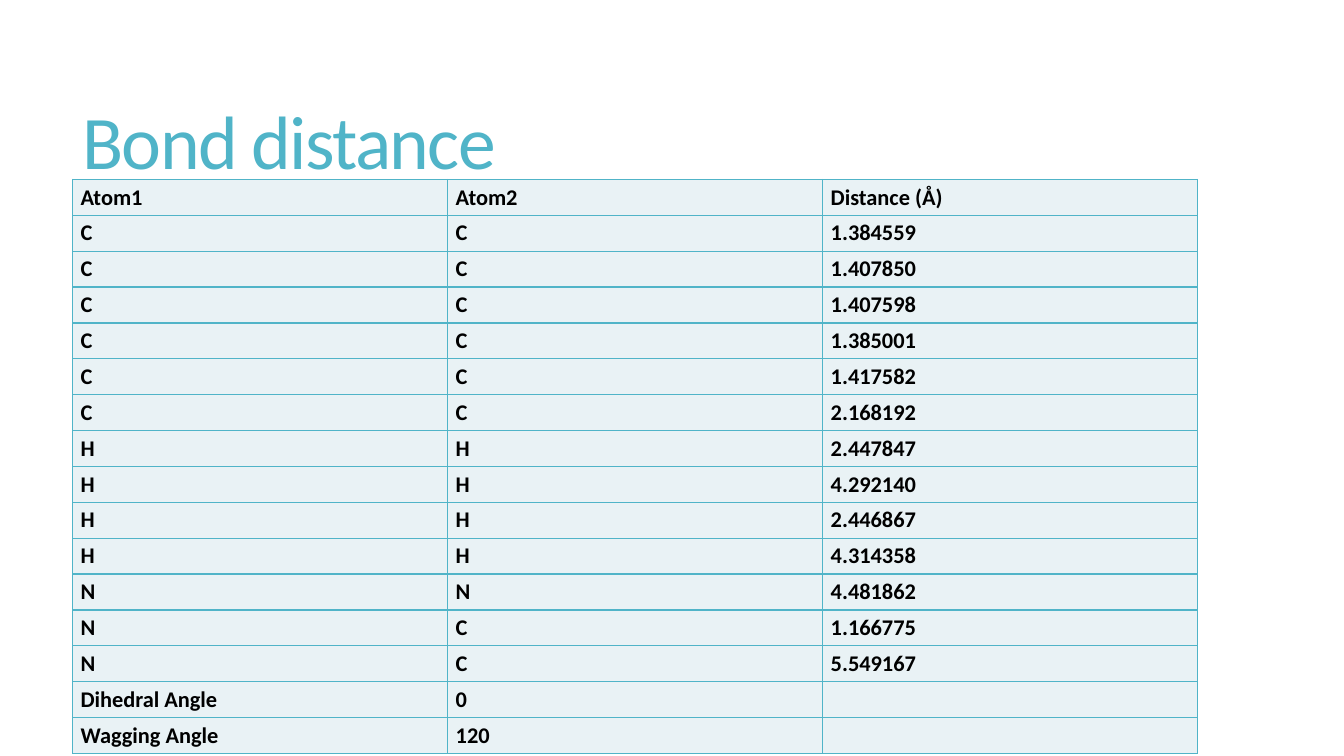
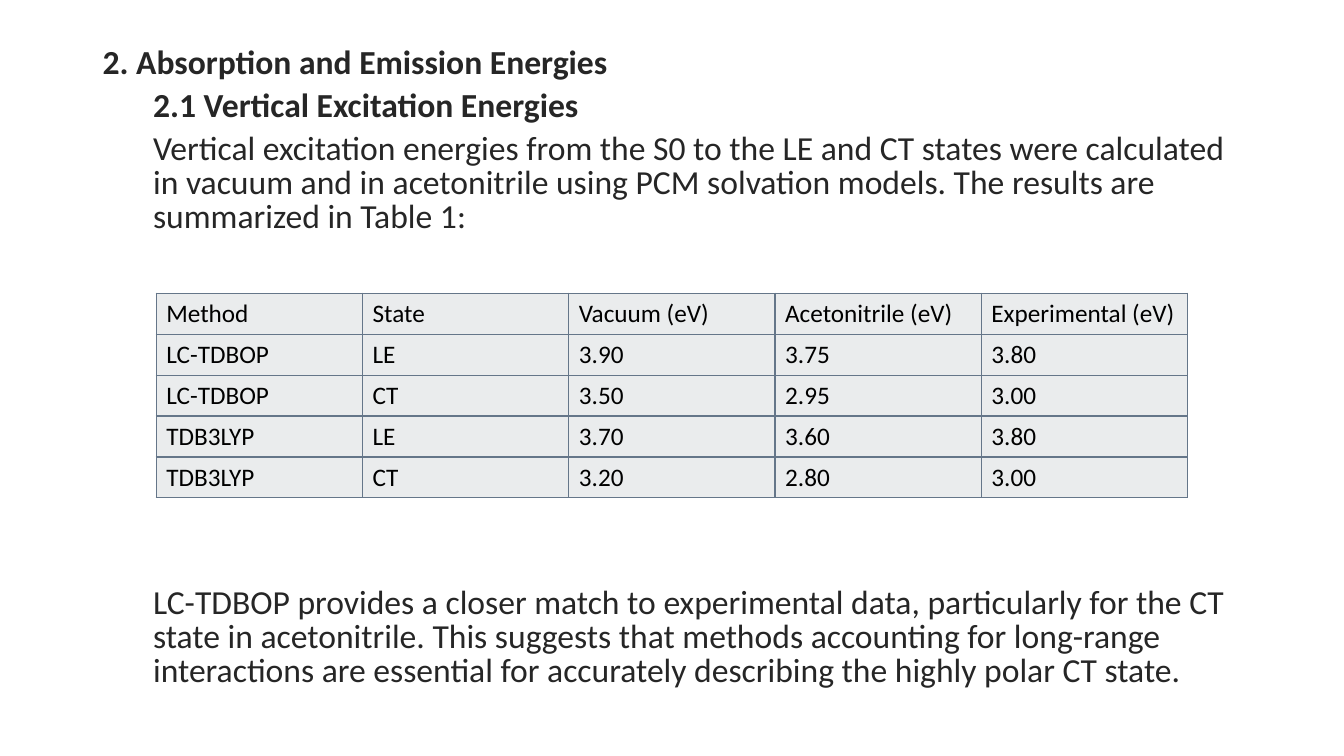
"""Build two slides on bond distances and excitation energies."""
from lxml.etree import SubElement
from pptx import Presentation
from pptx.dml.color import RGBColor
from pptx.enum.text import MSO_ANCHOR
from pptx.oxml.ns import qn
from pptx.util import Inches, Pt

FONT = "Calibri"
TEAL = RGBColor(0x50, 0xB4, 0xC8)
PALE_TEAL = RGBColor(0xE9, 0xF2, 0xF5)
SLATE = RGBColor(0x65, 0x76, 0x89)
PALE_GREY = RGBColor(0xEA, 0xEC, 0xED)
INK = RGBColor(0x26, 0x26, 0x26)
BLACK = RGBColor(0, 0, 0)


def add_text(slide, left, top, width, height, lines, size, color, anchor=MSO_ANCHOR.TOP):
    """Add a text box from (text, bold, indent in inches) lines; return its frame."""
    frame = slide.shapes.add_textbox(Inches(left), Inches(top), Inches(width), Inches(height)).text_frame
    frame.word_wrap = True
    frame.vertical_anchor = anchor
    for index, (text, bold, indent) in enumerate(lines):
        paragraph = frame.paragraphs[0] if index == 0 else frame.add_paragraph()
        paragraph.line_spacing = 0.85
        paragraph.space_before = Pt(6 if index else 0)
        paragraph._p.get_or_add_pPr().set("marL", str(Inches(indent)))
        run = paragraph.add_run()
        run.text = text
        run.font.name, run.font.size, run.font.bold = FONT, Pt(size), bold
        run.font.color.rgb = color
    return frame


def add_grid(slide, left, top, width, height, rows, size, bold, fill, border, side_margin):
    """Add a table with equal rows and columns, one fill and one border colour."""
    table = slide.shapes.add_table(
        len(rows), len(rows[0]), Inches(left), Inches(top), Inches(width), Inches(height)
    ).table
    table.first_row = table.horz_banding = False
    for row, values in zip(table.rows, rows):
        for cell, value in zip(row.cells, values):
            cell.vertical_anchor = MSO_ANCHOR.MIDDLE
            cell.margin_left = cell.margin_right = Inches(side_margin)
            cell.margin_top = cell.margin_bottom = 0
            for side in ("a:lnL", "a:lnR", "a:lnT", "a:lnB"):
                line = SubElement(cell._tc.get_or_add_tcPr(), qn(side), w=str(Pt(1)))
                SubElement(SubElement(line, qn("a:solidFill")), qn("a:srgbClr"), val=str(border))
            cell.fill.solid()
            cell.fill.fore_color.rgb = fill
            if value:
                run = cell.text_frame.paragraphs[0].add_run()
                run.text = value
                run.font.name, run.font.size, run.font.bold = FONT, Pt(size), bold
                run.font.color.rgb = BLACK


presentation = Presentation()
presentation.slide_width, presentation.slide_height = Inches(13.33), Inches(7.5)
blank = presentation.slide_layouts[6]

distance_slide = presentation.slides.add_slide(blank)
title = add_text(distance_slide, 0.72, 0.55, 11.78, 1.81, [("Bond distance", False, 0)],
                 54, TEAL, MSO_ANCHOR.MIDDLE)
title.paragraphs[0].runs[0]._r.get_or_add_rPr().set("spc", "-120")

distances = [
    ("Atom1", "Atom2", "Distance (Å)"),
    ("C", "C", "1.384559"),
    ("C", "C", "1.407850"),
    ("C", "C", "1.407598"),
    ("C", "C", "1.385001"),
    ("C", "C", "1.417582"),
    ("C", "C", "2.168192"),
    ("H", "H", "2.447847"),
    ("H", "H", "4.292140"),
    ("H", "H", "2.446867"),
    ("H", "H", "4.314358"),
    ("N", "N", "4.481862"),
    ("N", "C", "1.166775"),
    ("N", "C", "5.549167"),
    ("Dihedral Angle", "0", ""),
    ("Wagging Angle", "120", ""),
]
add_grid(distance_slide, 0.72, 1.78, 11.16, 5.7, distances, 16, True, PALE_TEAL, TEAL, 0.08)

energy_slide = presentation.slides.add_slide(blank)
introduction = [
    ("2. Absorption and Emission Energies", True, 0),
    ("2.1 Vertical Excitation Energies", True, 0.5),
    ("Vertical excitation energies from the S0 to the LE and CT states were calculated in vacuum "
     "and in acetonitrile using PCM solvation models. The results are summarized in Table 1:", False, 0.5),
]
conclusion = [
    ("LC-TDBOP provides a closer match to experimental data, particularly for the CT state in "
     "acetonitrile. This suggests that methods accounting for long-range interactions are essential "
     "for accurately describing the highly polar CT state.", False, 0.5),
]
for top, height, lines in ((0.42, 2.1, introduction), (5.77, 1.25, conclusion)):
    add_text(energy_slide, 0.92, top, 11.5, height, lines, 24, INK)

energies = [
    ("Method", "State", "Vacuum (eV)", "Acetonitrile (eV)", "Experimental (eV)"),
    ("LC-TDBOP", "LE", "3.90", "3.75", "3.80"),
    ("LC-TDBOP", "CT", "3.50", "2.95", "3.00"),
    ("TDB3LYP", "LE", "3.70", "3.60", "3.80"),
    ("TDB3LYP", "CT", "3.20", "2.80", "3.00"),
]
add_grid(energy_slide, 1.55, 2.91, 10.23, 2.03, energies, 18, False, PALE_GREY, SLATE, 0.1)

presentation.save("out.pptx")
